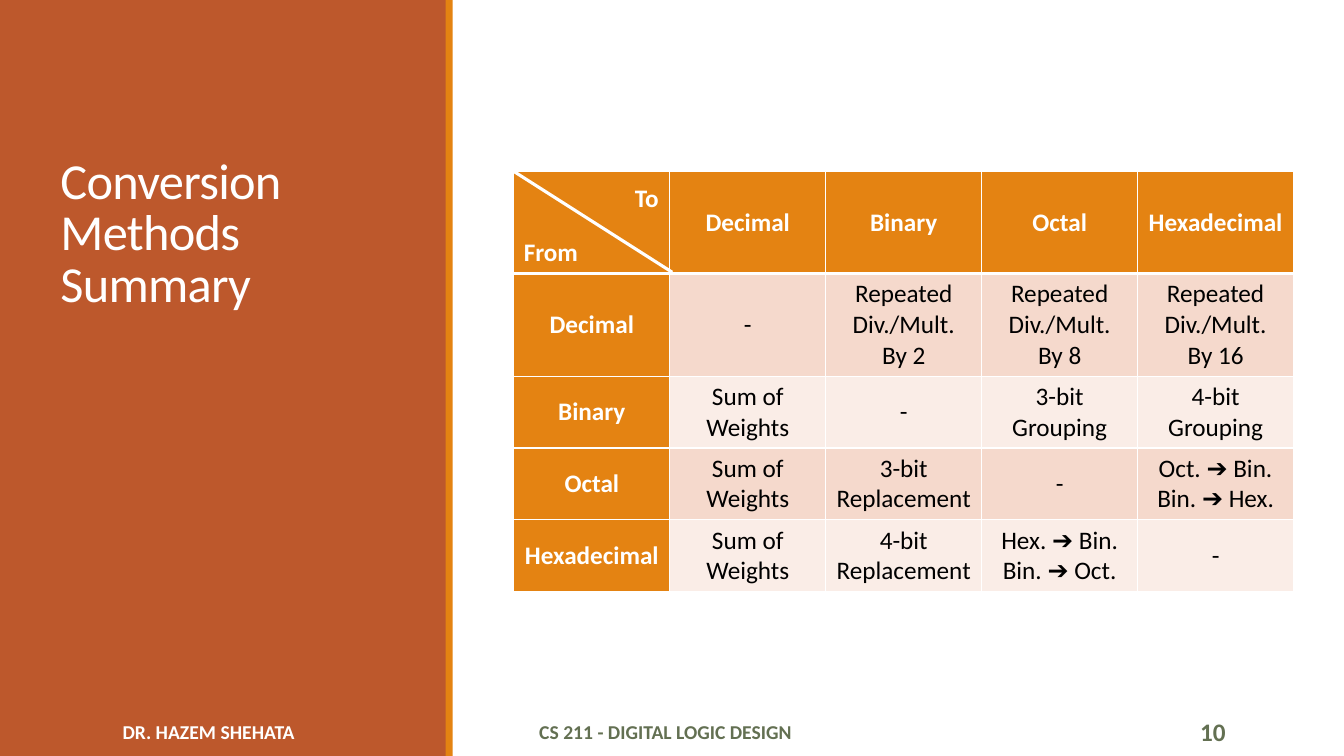
from dataclasses import dataclass

from lxml.etree import SubElement
from pptx import Presentation
from pptx.dml.color import RGBColor
from pptx.enum.shapes import MSO_CONNECTOR, MSO_SHAPE
from pptx.enum.text import MSO_ANCHOR, MSO_AUTO_SIZE, PP_ALIGN
from pptx.oxml.ns import qn
from pptx.slide import Slide
from pptx.table import _Cell
from pptx.text.text import TextFrame
from pptx.util import Cm, Pt


@dataclass(frozen=True)
class Theme:
    font: str = "Calibri"
    white: str = "FFFFFF"
    black: str = "000000"
    rust: str = "BD582C"
    orange: str = "E48312"
    olive: str = "637052"
    dark_band: str = "F5D9CC"
    light_band: str = "FAEDE7"
    title_size: float = 36
    table_size: float = 18
    footer_size: float = 14


@dataclass(frozen=True)
class Panel:
    left: float
    width: float
    color: str


@dataclass(frozen=True)
class Label:
    text: str
    left: float
    top: float
    width: float
    size: float
    color: str
    align: PP_ALIGN = PP_ALIGN.LEFT
    anchor: MSO_ANCHOR = MSO_ANCHOR.MIDDLE
    wrap: bool = True


THEME = Theme()
SLIDE_WIDTH, SLIDE_HEIGHT = 33.87, 19.05
TABLE_LEFT, TABLE_TOP = 12.95, 4.32
COLUMN_WIDTH = 3.93
ROW_HEIGHTS = (2.57, 2.59, 1.81, 1.81, 1.81)
FOOTER_TOP, LABEL_HEIGHT = 17.93, 1.02

PANELS = (
    Panel(0, 11.25, THEME.rust),
    Panel(11.23, 0.18, THEME.orange),
)
LABELS = (
    Label("DR. HAZEM SHEHATA", 0.61, FOOTER_TOP, 9.3, THEME.footer_size,
          THEME.white, PP_ALIGN.CENTER),
    Label("CS 211 - DIGITAL LOGIC DESIGN", 13.34, FOOTER_TOP, 12.9,
          THEME.footer_size, THEME.olive),
    Label("10", 27.51, FOOTER_TOP, 3.63, THEME.table_size, THEME.olive,
          PP_ALIGN.RIGHT),
    Label("From", TABLE_LEFT, 5.82, 1.88, THEME.table_size, THEME.white,
          anchor=MSO_ANCHOR.TOP, wrap=False),
    Label("To", 15.75, 4.47, 1.12, THEME.table_size, THEME.white,
          anchor=MSO_ANCHOR.TOP, wrap=False),
)
CONVERSIONS = (
    ("", "Decimal", "Binary", "Octal", "Hexadecimal"),
    ("Decimal", "-", "Repeated\nDiv./Mult.\nBy 2",
     "Repeated\nDiv./Mult.\nBy 8", "Repeated\nDiv./Mult.\nBy 16"),
    ("Binary", "Sum of Weights", "-", "3-bit Grouping", "4-bit Grouping"),
    ("Octal", "Sum of Weights", "3-bit Replacement", "-",
     "Oct. ➔ Bin.\nBin. ➔ Hex."),
    ("Hexadecimal", "Sum of Weights", "4-bit Replacement",
     "Hex. ➔ Bin.\nBin. ➔ Oct.", "-"),
)


def write(frame: TextFrame, text: str, size: float, color: str,
          bold: bool, align: PP_ALIGN) -> None:
    frame.text = text
    formats = {"name": THEME.font, "size": Pt(size), "bold": bold}
    for paragraph in frame.paragraphs:
        paragraph.alignment = align
        for run in paragraph.runs:
            for attribute, value in formats.items():
                setattr(run.font, attribute, value)
            run.font.color.rgb = RGBColor.from_string(color)


def draw_panel(slide: Slide, panel: Panel) -> None:
    band = slide.shapes.add_shape(MSO_SHAPE.RECTANGLE, Cm(panel.left), 0,
                                  Cm(panel.width), Cm(SLIDE_HEIGHT))
    band.shadow.inherit = False
    band.fill.solid()
    band.fill.fore_color.rgb = RGBColor.from_string(panel.color)
    band.line.fill.background()


def draw_title(slide: Slide, text: str) -> None:
    heading = slide.shapes.title
    place = {"left": Cm(1.27), "top": Cm(1.65),
             "width": Cm(8.89), "height": Cm(6.35)}
    for attribute, value in place.items():
        setattr(heading, attribute, value)
    frame = heading.text_frame
    write(frame, text, THEME.title_size, THEME.white, False, PP_ALIGN.LEFT)
    layout = {"word_wrap": True, "auto_size": MSO_AUTO_SIZE.NONE,
              "vertical_anchor": MSO_ANCHOR.BOTTOM}
    for attribute, value in layout.items():
        setattr(frame, attribute, value)
    paragraph = frame.paragraphs[0]
    paragraph.line_spacing = 0.85
    paragraph.runs[0].font._element.set("spc", "-50")
    slide.shapes.element.append(heading.element)


def draw_label(slide: Slide, label: Label) -> None:
    box = slide.shapes.add_textbox(Cm(label.left), Cm(label.top),
                                   Cm(label.width), Cm(LABEL_HEIGHT))
    box.text_frame.word_wrap = label.wrap
    box.text_frame.vertical_anchor = label.anchor
    write(box.text_frame, label.text, label.size, label.color, True, label.align)


def draw_borders(cell: _Cell, widths: dict[str, float]) -> None:
    properties = cell._tc.get_or_add_tcPr()
    for side, width in widths.items():
        border = SubElement(properties, qn(f"a:ln{side}"), w=str(Pt(width)))
        fill = SubElement(border, qn("a:solidFill"))
        SubElement(fill, qn("a:srgbClr"), val=THEME.white)


def draw_conversions(slide: Slide) -> None:
    columns = len(CONVERSIONS[0])
    table = slide.shapes.add_table(
        len(CONVERSIONS), columns, Cm(TABLE_LEFT), Cm(TABLE_TOP),
        Cm(COLUMN_WIDTH * columns), Cm(sum(ROW_HEIGHTS))).table
    for column in table.columns:
        column.width = Cm(COLUMN_WIDTH)
    for r, (methods, height) in enumerate(zip(CONVERSIONS, ROW_HEIGHTS)):
        table.rows[r].height = Cm(height)
        band = THEME.dark_band if r % 2 else THEME.light_band
        for c, method in enumerate(methods):
            cell = table.cell(r, c)
            heading = r == 0 or c == 0
            draw_borders(cell, {"L": 1, "R": 1, "T": 3 if r == 1 else 1,
                                "B": 3 if r == 0 else 1})
            cell.fill.solid()
            cell.fill.fore_color.rgb = RGBColor.from_string(
                THEME.orange if heading else band)
            cell.vertical_anchor = MSO_ANCHOR.MIDDLE
            write(cell.text_frame, method, THEME.table_size,
                  THEME.white if heading else THEME.black, heading,
                  PP_ALIGN.CENTER)


def draw_corner_diagonal(slide: Slide) -> None:
    diagonal = slide.shapes.add_connector(
        MSO_CONNECTOR.STRAIGHT, Cm(TABLE_LEFT), Cm(TABLE_TOP),
        Cm(16.94), Cm(6.86))
    diagonal.line.color.rgb = RGBColor.from_string(THEME.white)
    diagonal.line.width = Pt(2.25)
    SubElement(diagonal.element.spPr, qn("a:effectLst"))


def main() -> None:
    deck = Presentation()
    deck.slide_width, deck.slide_height = Cm(SLIDE_WIDTH), Cm(SLIDE_HEIGHT)
    slide = deck.slides.add_slide(deck.slide_layouts.get_by_name("Title Only"))
    for panel in PANELS:
        draw_panel(slide, panel)
    draw_title(slide, "Conversion Methods Summary")
    draw_conversions(slide)
    for label in LABELS:
        draw_label(slide, label)
    draw_corner_diagonal(slide)
    deck.save("out.pptx")


if __name__ == "__main__":
    main()
